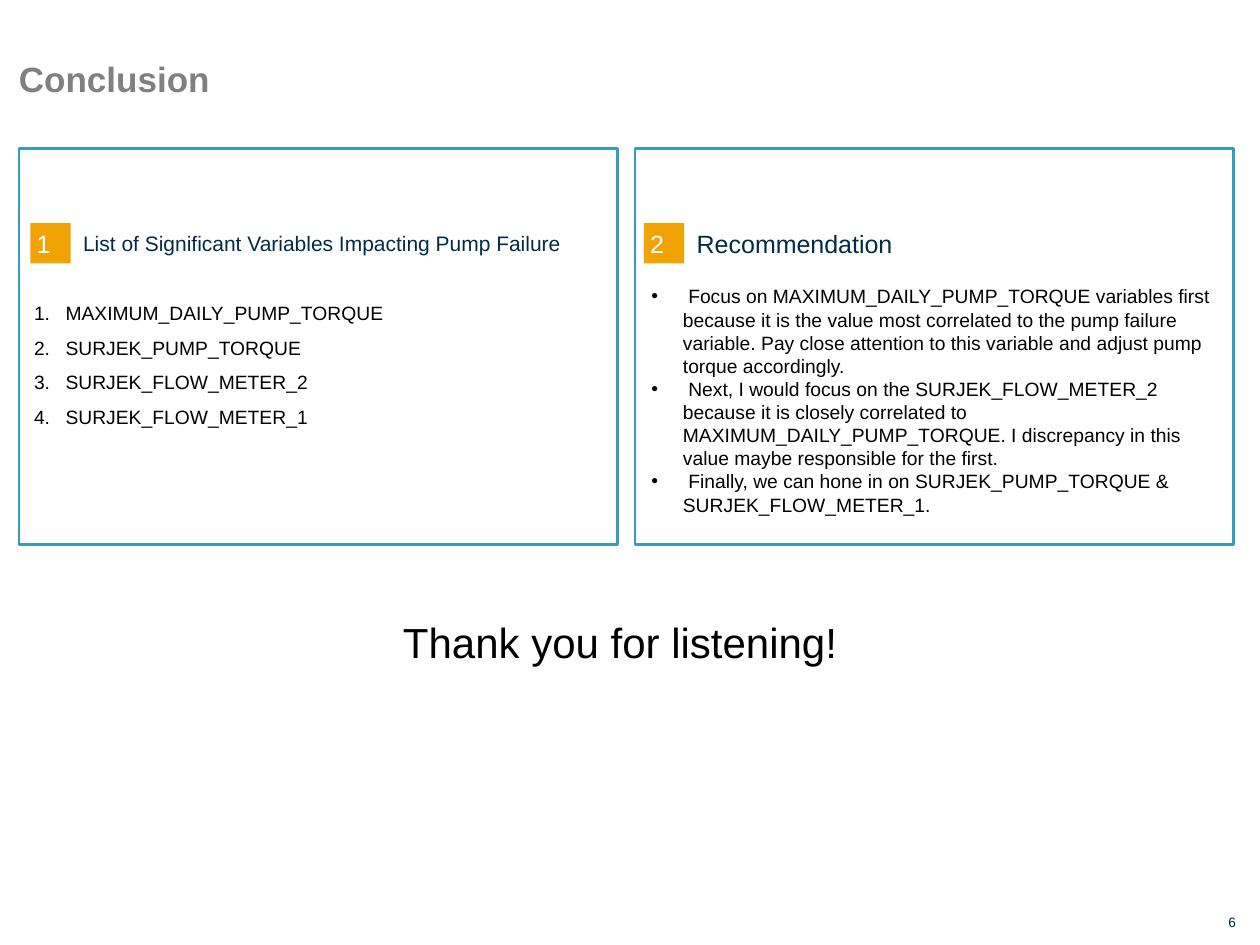
import pptx
import pptx.util
import pptx.dml.color
import pptx.enum.shapes
import pptx.enum.text
import pptx.oxml
import pptx.oxml.ns

Inches, Pt = pptx.util.Inches, pptx.util.Pt
Anchor = pptx.enum.text.MSO_ANCHOR
Align = pptx.enum.text.PP_ALIGN
RECTANGLE = pptx.enum.shapes.MSO_SHAPE.RECTANGLE
rgb = pptx.dml.color.RGBColor.from_string

COLORS = {"white": "FFFFFF", "border": "379BBD", "badge": "F1A205",
          "navy": "002C46", "grey": "808080", "black": "000000"}
LEFT_MARGIN, COLUMN_WIDTH, COLUMN_STEP = 0.15, 4.75, 4.89
PANEL_TOP, PANEL_HEIGHT = 1.18, 3.14
BADGE_TOP, BADGE_SIZE = 1.77, 0.32
HEADING_HEIGHT = 0.25


def write(shape, *lines, size, color="black", bold=False, align=Align.LEFT,
          anchor=Anchor.TOP, inset=(0, 0), wrap=True, spacing=1.0, bullet=None):
    """Fill a shape with one paragraph per line; bullet is an XML tag with attributes."""
    frame = shape.text_frame
    frame.auto_size = pptx.enum.text.MSO_AUTO_SIZE.NONE
    frame.word_wrap = wrap
    frame.vertical_anchor = anchor
    frame.margin_left = frame.margin_right = Inches(inset[0])
    frame.margin_top = frame.margin_bottom = Inches(inset[1])
    frame.text = "\n".join(lines)
    for paragraph in frame.paragraphs:
        paragraph.alignment = align
        paragraph.line_spacing = spacing
        paragraph.space_before = Pt(0)
        font = paragraph.runs[0].font
        font.name, font.size, font.bold = "Arial", Pt(size), bold
        font.color.rgb = rgb(COLORS[color])
        if bullet:
            properties = paragraph._p.get_or_add_pPr()
            properties.set("marL", str(Inches(0.25)))
            properties.set("indent", str(Inches(-0.25)))
            for tag in ('buFont typeface="Arial"', bullet):
                properties.append(pptx.oxml.parse_xml(
                    f"<a:{tag} {pptx.oxml.ns.nsdecls('a')}/>"))


def place(shape, left, top, width, height):
    shape.left, shape.top = Inches(left), Inches(top)
    shape.width, shape.height = Inches(width), Inches(height)


presentation = pptx.Presentation()
presentation.slide_width, presentation.slide_height = Inches(10), Inches(7.5)
slide = presentation.slides.add_slide(presentation.slide_layouts.get_by_name("Two Content"))
title, variables, advice = slide.placeholders

place(title, LEFT_MARGIN, 0.46, 9.62, 0.69)
write(title, "Conclusion", size=20, color="grey", bold=True)

place(variables, 0.17, 2.25, 4.73, 1.36)
write(variables,
      "MAXIMUM_DAILY_PUMP_TORQUE",
      "SURJEK_PUMP_TORQUE",
      "SURJEK_FLOW_METER_2",
      "SURJEK_FLOW_METER_1",
      size=11, inset=(0.1, 0.05), spacing=1.5, bullet='buAutoNum type="arabicPeriod"')

place(advice, 5.07, 2.21, 4.73, 1.88)
write(advice,
      " Focus on MAXIMUM_DAILY_PUMP_TORQUE variables first because it is the value most "
      "correlated to the pump failure variable. Pay close attention to this variable and "
      "adjust pump torque accordingly.",
      " Next, I would focus on the SURJEK_FLOW_METER_2 because it is closely correlated to "
      "MAXIMUM_DAILY_PUMP_TORQUE. I discrepancy in this value maybe responsible for the first.",
      " Finally, we can hone in on SURJEK_PUMP_TORQUE & SURJEK_FLOW_METER_1.",
      size=11, inset=(0.1, 0.05), bullet='buChar char="•"')

sections = [("List of Significant Variables Impacting Pump Failure", 12, 0.24),
            ("Recommendation", 14.3, 5.11)]
for column, (heading_text, heading_size, badge_left) in enumerate(sections):
    panel = slide.shapes.add_shape(
        RECTANGLE, Inches(LEFT_MARGIN + column * COLUMN_STEP), Inches(PANEL_TOP),
        Inches(COLUMN_WIDTH), Inches(PANEL_HEIGHT))
    panel.shadow.inherit = False
    panel.fill.solid()
    panel.fill.fore_color.rgb = rgb(COLORS["white"])
    panel.line.color.rgb = rgb(COLORS["border"])
    panel.line.width = Pt(1.5)
    # Panels lie behind the placeholders
    slide.shapes._spTree.insert(2 + column, panel._element)

    badge = slide.shapes.add_shape(
        RECTANGLE, Inches(badge_left), Inches(BADGE_TOP), Inches(BADGE_SIZE), Inches(BADGE_SIZE))
    badge.shadow.inherit = False
    badge.fill.solid()
    badge.fill.fore_color.rgb = rgb(COLORS["badge"])
    badge.line.fill.background()
    write(badge, str(column + 1), size=14.3, color="white", anchor=Anchor.MIDDLE,
          inset=(0.05, 0.05))

    heading = slide.shapes.add_textbox(
        Inches(badge_left + BADGE_SIZE + 0.1),
        Inches(BADGE_TOP + (BADGE_SIZE - HEADING_HEIGHT) / 2),
        Inches(3.93), Inches(HEADING_HEIGHT))
    write(heading, heading_text, size=heading_size, color="navy", anchor=Anchor.MIDDLE)

thanks = slide.shapes.add_textbox(Inches(3.1), Inches(4.84), Inches(3.8), Inches(0.5))
write(thanks, "Thank you for listening!", size=24, inset=(0.1, 0.05))

page_number = slide.shapes.add_textbox(Inches(9.67), Inches(7.25), Inches(0.14), Inches(0.13))
write(page_number, "6", size=7.8, color="navy", align=Align.RIGHT, anchor=Anchor.MIDDLE)

presentation.save("out.pptx")
